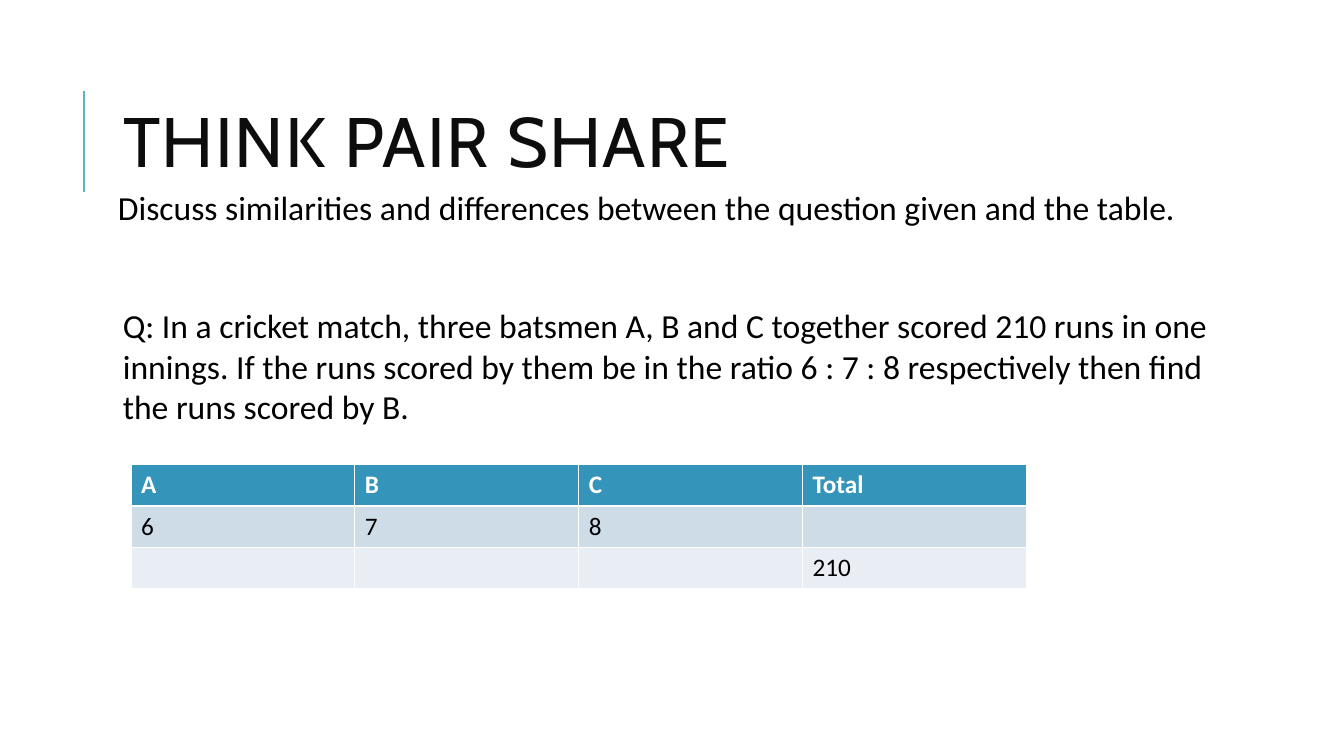
from dataclasses import dataclass

from lxml import etree
from pptx import Presentation
from pptx.dml.color import RGBColor
from pptx.enum.shapes import MSO_CONNECTOR
from pptx.enum.text import MSO_ANCHOR, MSO_AUTO_SIZE, PP_ALIGN
from pptx.oxml.ns import qn
from pptx.util import Pt

STRAIGHT = MSO_CONNECTOR.STRAIGHT
MIDDLE = MSO_ANCHOR.MIDDLE
TOP = MSO_ANCHOR.TOP
NO_AUTOFIT = MSO_AUTO_SIZE.NONE
LEFT = PP_ALIGN.LEFT

EMU_PER_PX = 9144
TITLE_ONLY = 5


@dataclass(frozen=True)
class Theme:
    title_font: str = "Cabin"
    body_font: str = "Calibri"
    title_size: int = 50
    body_size: int = 24
    table_size: int = 18
    title: str = "0D0D0D"
    text: str = "000000"
    accent: str = "58B6C0"
    header: str = "3494BA"
    header_text: str = "FFFFFF"
    bands: tuple = ("CEDCE7", "E8EEF3")


THEME = Theme()


def px(length):
    return length * EMU_PER_PX


def color(value):
    return RGBColor.from_string(value)


def style_paragraph(paragraph, font, size, text_color, bold=False):
    paragraph.alignment = LEFT
    paragraph.font.name = font
    paragraph.font.size = Pt(size)
    paragraph.font.bold = bold
    paragraph.font.color.rgb = color(text_color)


def set_title(slide, text, left, top, width, height):
    title = slide.shapes.title
    title.left, title.top = px(left), px(top)
    title.width, title.height = px(width), px(height)
    frame = title.text_frame
    frame.text = text
    frame.word_wrap = True
    frame.auto_size = NO_AUTOFIT
    frame.vertical_anchor = MIDDLE
    paragraph = frame.paragraphs[0]
    paragraph.line_spacing = 0.8
    style_paragraph(paragraph, THEME.title_font, THEME.title_size, THEME.title)
    paragraph.runs[0]._r.get_or_add_rPr().set("spc", "100")


def add_text(slide, text, left, top, width, height, inset=10, line_spacing=1.0):
    box = slide.shapes.add_textbox(px(left), px(top), px(width), px(height))
    frame = box.text_frame
    frame.text = text
    frame.word_wrap = True
    frame.vertical_anchor = TOP
    frame.margin_left = frame.margin_right = px(inset)
    frame.margin_top = frame.margin_bottom = px(5)
    paragraph = frame.paragraphs[0]
    paragraph.line_spacing = line_spacing
    style_paragraph(paragraph, THEME.body_font, THEME.body_size, THEME.text)


def add_rule(slide, x, top, bottom):
    rule = slide.shapes.add_connector(STRAIGHT, px(x), px(bottom), px(x), px(top))
    rule.line.color.rgb = color(THEME.accent)
    rule.line.width = Pt(1.5)
    etree.SubElement(rule._element.spPr, qn("a:effectLst"))


def add_score_table(slide, rows, left, top, column_width, row_height):
    column_count = len(rows[0])
    table = slide.shapes.add_table(
        len(rows), column_count, px(left), px(top),
        px(column_width * column_count), px(row_height * len(rows)),
    ).table
    for row_index, values in enumerate(rows):
        is_header = row_index == 0
        fill = THEME.header if is_header else THEME.bands[(row_index - 1) % 2]
        text_color = THEME.header_text if is_header else THEME.text
        for column_index, value in enumerate(values):
            cell = table.cell(row_index, column_index)
            cell.text = value
            cell.fill.solid()
            cell.fill.fore_color.rgb = color(fill)
            style_paragraph(cell.text_frame.paragraphs[0], THEME.body_font,
                            THEME.table_size, text_color, is_header)


def main():
    presentation = Presentation()
    presentation.slide_width = px(1333)
    presentation.slide_height = px(750)
    slide = presentation.slides.add_slide(presentation.slide_layouts[TITLE_ONLY])

    add_rule(slide, 83, 90, 190)
    set_title(slide, "THINK PAIR SHARE", 112, 64, 1063, 164)
    add_text(
        slide,
        "Discuss similarities and differences between the question given and the table.",
        112, 185, 1063, 62, inset=5, line_spacing=0.9,
    )
    add_text(
        slide,
        "Q: In a cricket match, three batsmen A, B and C together scored 210 runs "
        "in one innings. If the runs scored by them be in the ratio 6 : 7 : 8 "
        "respectively then find the runs scored by B.",
        112, 298, 1096, 131,
    )
    scores = [
        ["A", "B", "C", "Total"],
        ["6", "7", "8", ""],
        ["", "", "", "210"],
    ]
    add_score_table(slide, scores, 130, 461, 222, 41)

    presentation.save("out.pptx")


if __name__ == "__main__":
    main()
